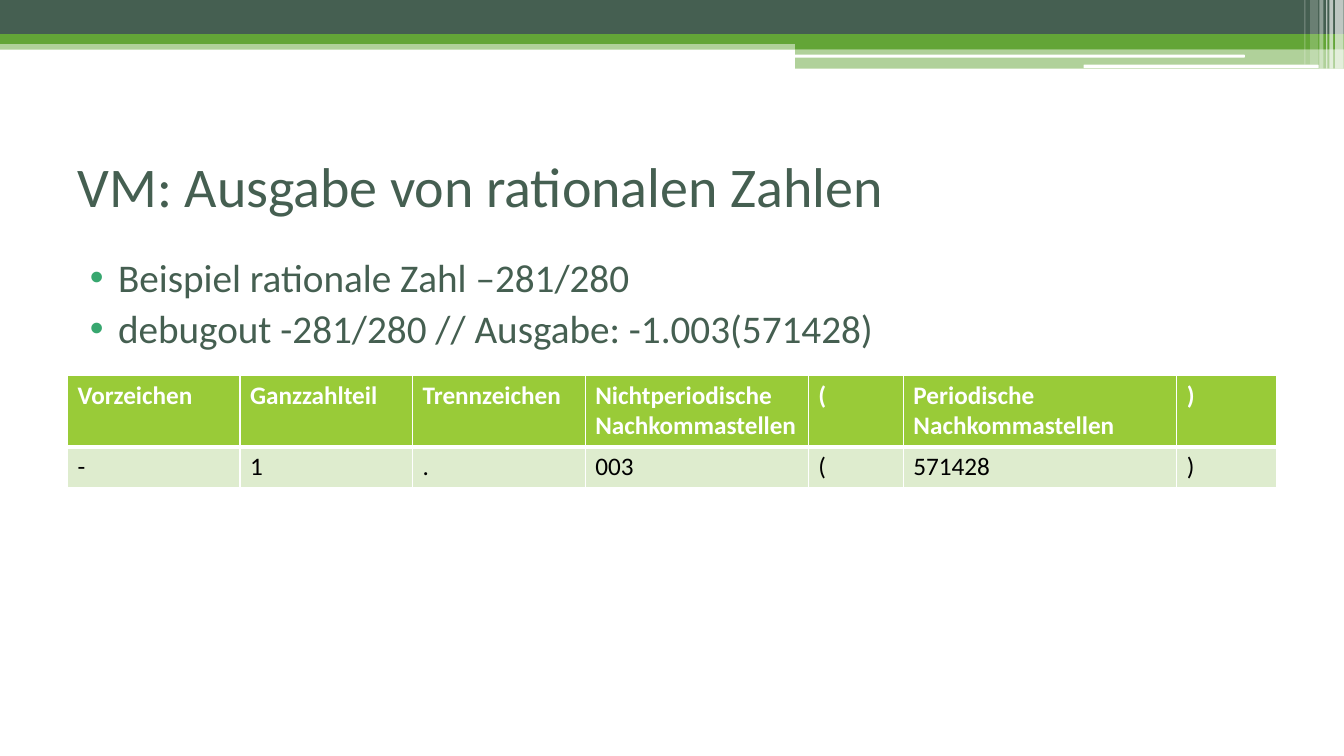
from lxml import etree
from pptx import Presentation
from pptx import util as u
from pptx.dml.color import RGBColor
from pptx.enum import shapes, text
from pptx.oxml.ns import qn

DARK = RGBColor(0x45, 0x5F, 0x51)
GREEN = RGBColor(0x63, 0xA5, 0x37)
LIME = RGBColor(0x99, 0xCB, 0x38)
PALE = RGBColor(0xDE, 0xEC, 0xCE)
BULLET = RGBColor(0x37, 0xA7, 0x6F)
WHITE = RGBColor(0xFF, 0xFF, 0xFF)
BLACK = RGBColor(0x00, 0x00, 0x00)

WIDTH, HEIGHT = 33.87, 19.05
RECT = shapes.MSO_SHAPE.RECTANGLE
ROUNDED = shapes.MSO_SHAPE.ROUNDED_RECTANGLE

HEADER_BARS = [
    (RECT, 0, 1.02, WIDTH, 0.23, GREEN, 50),
    (RECT, 0, 0, WIDTH, 0.86, DARK, 100),
    (RECT, 0, 0.86, WIDTH, 0.25, GREEN, 100),
    (RECT, 20.04, 0.99, 13.83, 0.25, GREEN, 100),
    (RECT, 20.04, 1.23, 13.83, 0.5, GREEN, 50),
    (ROUNDED, 20.02, 1.38, 11.35, 0.07, WHITE, 100),
    (ROUNDED, 27.31, 1.63, 5.92, 0.09, WHITE, 100),
]
STRIPES = [
    (33.65, 0.21, 1.73, 65),
    (33.5, 0.1, 1.73, 65),
    (33.42, 0.03, 1.73, 60),
    (33.25, 0.1, 1.73, 40),
    (33.02, 0.2, 1.63, 20),
    (32.87, 0.03, 1.63, 30),
]
COLUMNS = [
    ("Vorzeichen", "-", 4.35),
    ("Ganzzahlteil", "1", 4.35),
    ("Trennzeichen", ".", 4.35),
    ("Nichtperiodische Nachkommastellen", "003", 5.62),
    ("(", "(", 2.4),
    ("Periodische Nachkommastellen", "571428", 6.89),
    (")", ")", 2.52),
]


class SlideBuilder:
    font = "Calibri"

    def __init__(self, presentation):
        self.slide = presentation.slides.add_slide(presentation.slide_layouts[1])

    def style(self, paragraph, size, color, bold=False):
        paragraph.alignment = text.PP_ALIGN.LEFT
        paragraph.font.name = self.font
        paragraph.font.size = u.Pt(size)
        paragraph.font.color.rgb = color
        paragraph.font.bold = bold

    def place(self, shape, left, top, width, height):
        shape.left, shape.top = u.Cm(left), u.Cm(top)
        shape.width, shape.height = u.Cm(width), u.Cm(height)
        shape.text_frame.auto_size = text.MSO_AUTO_SIZE.NONE

    def bar(self, kind, left, top, width, height, color, opacity=100):
        shape = self.slide.shapes.add_shape(
            kind, u.Cm(left), u.Cm(top), u.Cm(width), u.Cm(height))
        shape.shadow.inherit = False
        shape.line.fill.background()
        shape.fill.solid()
        shape.fill.fore_color.rgb = color
        if opacity < 100:
            rgb = shape.fill._xPr.find(qn("a:solidFill"))[0]
            etree.SubElement(rgb, qn("a:alpha")).set("val", str(opacity * 1000))

    def title(self, wording, *box):
        shape = self.slide.shapes.title
        self.place(shape, *box)
        shape.text_frame.text = wording
        shape.text_frame.vertical_anchor = text.MSO_ANCHOR.MIDDLE
        self.style(shape.text_frame.paragraphs[0], 40, DARK)

    def bullets(self, lines, *box):
        shape = self.slide.placeholders[1]
        self.place(shape, *box)
        shape.text_frame.text = "\n".join(lines)
        for paragraph in shape.text_frame.paragraphs:
            self.style(paragraph, 28, DARK)
            paragraph.space_before = u.Pt(3)
            properties = paragraph._p.get_or_add_pPr()
            properties.set("marL", str(u.Cm(1.02)))
            properties.set("indent", str(u.Cm(-0.71)))
            color = etree.SubElement(properties, qn("a:buClr"))
            etree.SubElement(color, qn("a:srgbClr")).set("val", str(BULLET))
            etree.SubElement(properties, qn("a:buFont")).set("typeface", "Arial")
            etree.SubElement(properties, qn("a:buChar")).set("char", "•")
            properties.append(properties.find(qn("a:defRPr")))

    def borders(self, cell, bottom):
        properties = cell._tc.get_or_add_tcPr()
        widths = {"lnL": 1, "lnR": 1, "lnT": 1, "lnB": bottom}
        for position, (side, width) in enumerate(widths.items()):
            line = etree.Element(qn("a:" + side), w=str(u.Pt(width)))
            fill = etree.SubElement(line, qn("a:solidFill"))
            etree.SubElement(fill, qn("a:srgbClr")).set("val", str(WHITE))
            properties.insert(position, line)

    def table(self, columns, left, top, row_heights):
        width = sum(column[-1] for column in columns)
        table = self.slide.shapes.add_table(
            len(row_heights), len(columns), u.Cm(left), u.Cm(top),
            u.Cm(width), u.Cm(sum(row_heights))).table
        row_styles = [(LIME, WHITE, True, 3), (PALE, BLACK, False, 1)]
        for row, height in zip(table.rows, row_heights):
            row.height = u.Cm(height)
        for index, (*wordings, column_width) in enumerate(columns):
            table.columns[index].width = u.Cm(column_width)
            for row, wording in enumerate(wordings):
                background, color, bold, bottom = row_styles[row]
                cell = table.cell(row, index)
                cell.text = wording
                cell.fill.solid()
                cell.fill.fore_color.rgb = background
                self.style(cell.text_frame.paragraphs[0], 18, color, bold)
                self.borders(cell, bottom)


def main():
    presentation = Presentation()
    presentation.slide_width = u.Cm(WIDTH)
    presentation.slide_height = u.Cm(HEIGHT)
    builder = SlideBuilder(presentation)
    for bar in HEADER_BARS:
        builder.bar(*bar)
    for left, width, height, opacity in STRIPES:
        builder.bar(RECT, left, 0, width, height, WHITE, opacity)
    builder.title("VM: Ausgabe von rationalen Zahlen", 1.7, 3.18, 30.48, 2.97)
    builder.bullets([
        "Beispiel rationale Zahl –281/280",
        "debugout -281/280 // Ausgabe: -1.003(571428)",
    ], 1.7, 6.25, 30.48, 12.01)
    builder.table(COLUMNS, 1.7, 9.45, [1.79, 1.03])
    presentation.save("out.pptx")


if __name__ == "__main__":
    main()
